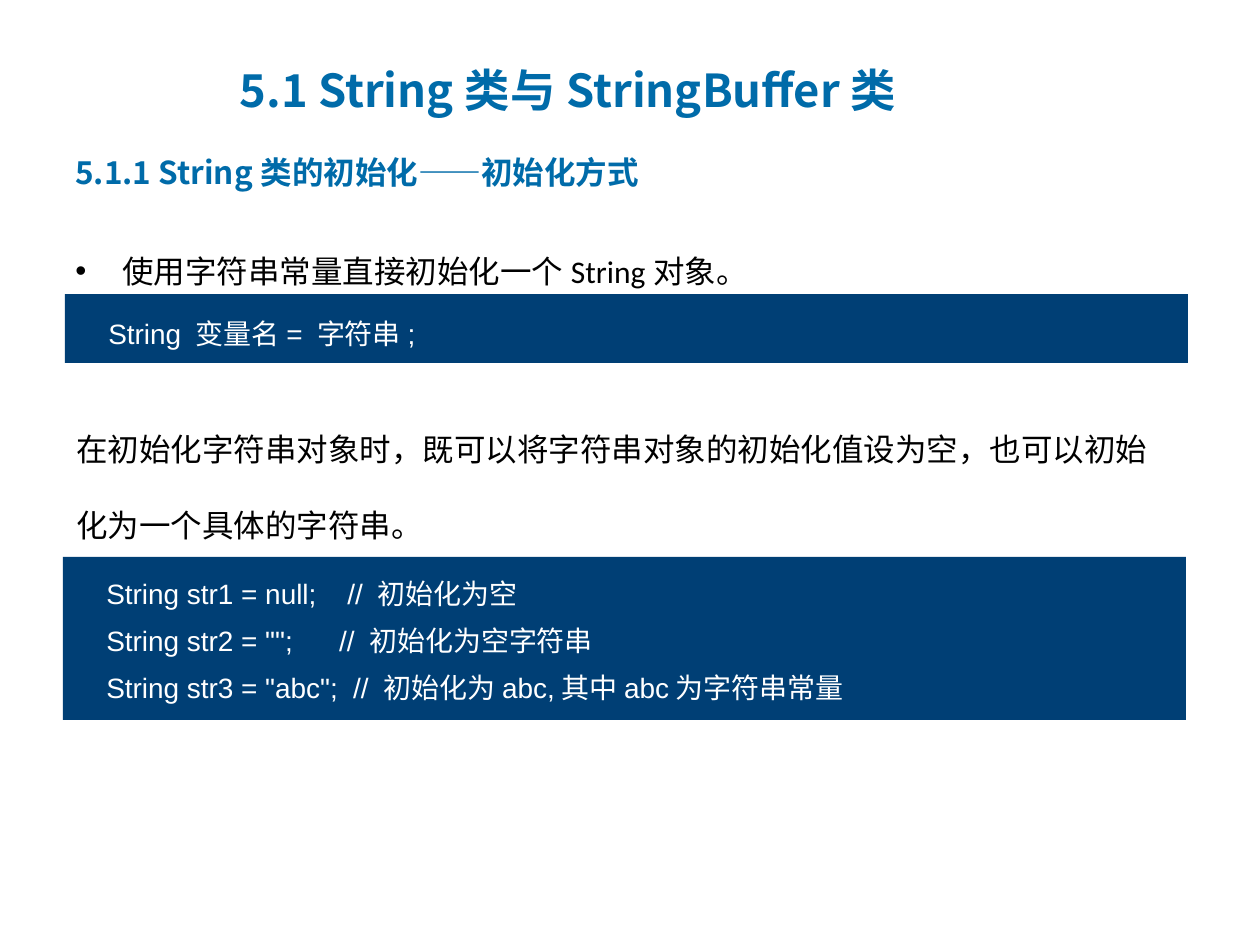
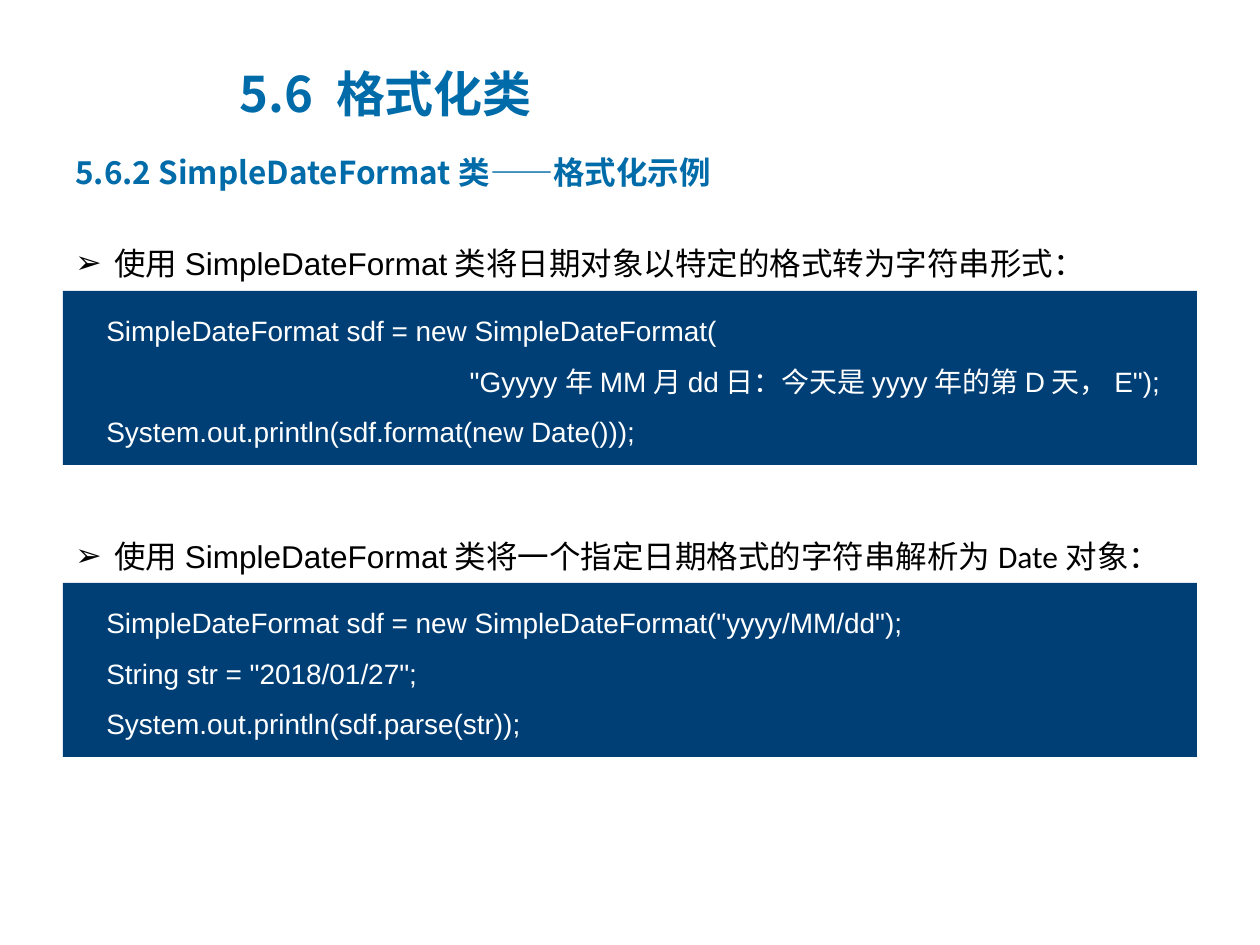
from lxml import etree
from pptx import Presentation
from pptx.dml.color import RGBColor
from pptx.enum.shapes import MSO_SHAPE
from pptx.enum.text import MSO_ANCHOR, MSO_AUTO_SIZE, PP_ALIGN
from pptx.oxml.ns import qn
from pptx.util import Emu, Pt

RECTANGLE = MSO_SHAPE.RECTANGLE
TOP, MIDDLE = MSO_ANCHOR.TOP, MSO_ANCHOR.MIDDLE
NO_AUTOFIT = MSO_AUTO_SIZE.NONE
LEFT = PP_ALIGN.LEFT

PX = 914400 / 126
TITLE_ONLY = 5
COLORS = {"heading": "006BA9", "code_fill": "003F75", "code": "FFFFFF", "body": "000000"}
HEADING_FONT, CODE_FONT, BODY_FONT = "Noto Sans CJK SC", "Arial", "Calibri"
TITLE_BOX = (227, 54, 735, 77)
SUBTITLE_BOX = (63, 147, 1134, 89)


def px(length):
    return Emu(round(length * PX))


def style_font(font, name, size, color, bold=False):
    font.name = name
    font.size = Pt(size)
    font.bold = bold
    font.color.rgb = RGBColor.from_string(COLORS[color])


def prepare_frame(frame, anchor=TOP):
    frame.word_wrap = True
    frame.auto_size = NO_AUTOFIT
    frame.vertical_anchor = anchor
    return frame


def add_text_box(page, box):
    return prepare_frame(page.shapes.add_textbox(*map(px, box)).text_frame)


def add_headings(page, title, title_size, title_spacing, subtitle):
    holder = page.shapes.title
    holder.left, holder.top, holder.width, holder.height = map(px, TITLE_BOX)
    title_para = prepare_frame(holder.text_frame, MIDDLE).paragraphs[0]
    title_para.text = title
    title_para.alignment = LEFT
    title_para.line_spacing = title_spacing
    style_font(title_para.font, HEADING_FONT, title_size, "heading", True)

    subtitle_para = add_text_box(page, SUBTITLE_BOX).paragraphs[0]
    subtitle_para.text = subtitle
    style_font(subtitle_para.font, HEADING_FONT, 18, "heading", True)


def set_bullet(para, symbol, indent):
    properties = para._p.get_or_add_pPr()
    properties.set("marL", str(px(indent)))
    properties.set("indent", str(-px(indent)))
    color = etree.SubElement(properties, qn("a:buClr"))
    etree.SubElement(color, qn("a:srgbClr"), val=COLORS["body"])
    etree.SubElement(properties, qn("a:buFont"), typeface=CODE_FONT)
    etree.SubElement(properties, qn("a:buChar"), char=symbol)


def add_body(page, box, spans, symbol=None, indent=0):
    para = add_text_box(page, box).paragraphs[0]
    para.line_spacing = 2.0
    if symbol:
        set_bullet(para, symbol, indent)
    for text, font_name in spans:
        span = para.add_run()
        span.text = text
        style_font(span.font, font_name, 18, "body")


def add_code(page, box, lines, spacing=1.5):
    panel = page.shapes.add_shape(RECTANGLE, *map(px, box))
    panel.shadow.inherit = False
    panel.fill.solid()
    panel.fill.fore_color.rgb = RGBColor.from_string(COLORS["code_fill"])
    panel.line.fill.background()
    frame = prepare_frame(panel.text_frame)
    for index, line in enumerate(lines):
        para = frame.add_paragraph() if index else frame.paragraphs[0]
        para.text = line
        para.alignment = LEFT
        para.line_spacing = spacing
        style_font(para.font, CODE_FONT, 16, "code")


def add_page(deck):
    return deck.slides.add_slide(deck.slide_layouts[TITLE_ONLY])


def build_string_page(deck):
    page = add_page(deck)
    add_headings(page, "5.1 String类与StringBuffer类", 25.9, 0.9,
                 "5.1.1 String类的初始化——初始化方式")
    add_body(page, (63, 208, 1126, 88),
             [("使用字符串常量直接初始化一个String对象", BODY_FONT), ("。", CODE_FONT)],
             "•", 47)
    add_code(page, (65, 294, 1123, 69), ["    String 变量名= 字符串;"])
    add_body(page, (64, 386, 1123, 164),
             [("在初始化字符串对象时，既可以将字符串对象的初始化值设为空，"
               "也可以初始化为一个具体的字符串。", CODE_FONT)])
    add_code(page, (63, 557, 1123, 163), [
        "    String str1 = null;    // 初始化为空",
        '    String str2 = "";      // 初始化为空字符串',
        '    String str3 = "abc";  // 初始化为abc,其中abc为字符串常量',
    ], 1.4)


def build_format_page(deck):
    page = add_page(deck)
    add_headings(page, "5.6 格式化类", 28, 1.0, "5.6.2 SimpleDateFormat类——格式化示例")
    examples = [
        (200, 291, "类将日期对象以特定的格式转为字符串形式", [
            "    SimpleDateFormat sdf = new SimpleDateFormat(",
            " " * 51 + '"Gyyyy年MM月dd日：今天是yyyy年的第D天，E");',
            "    System.out.println(sdf.format(new Date()));",
        ]),
        (493, 583, "类将一个指定日期格式的字符串解析为Date对象", [
            '    SimpleDateFormat sdf = new SimpleDateFormat("yyyy/MM/dd");',
            '    String str = "2018/01/27";',
            "    System.out.println(sdf.parse(str));",
        ]),
    ]
    for body_top, code_top, purpose, lines in examples:
        spans = [("使用", BODY_FONT), ("SimpleDateFormat", CODE_FONT),
                 (purpose, BODY_FONT), ("：", CODE_FONT)]
        add_body(page, (63, body_top, 1134, 88), spans, "➢", 39)
        add_code(page, (63, code_top, 1134, 174), lines)


def main():
    deck = Presentation()
    deck.slide_width, deck.slide_height = px(1260), px(945)
    build_string_page(deck)
    build_format_page(deck)
    deck.save("out.pptx")


if __name__ == "__main__":
    main()
